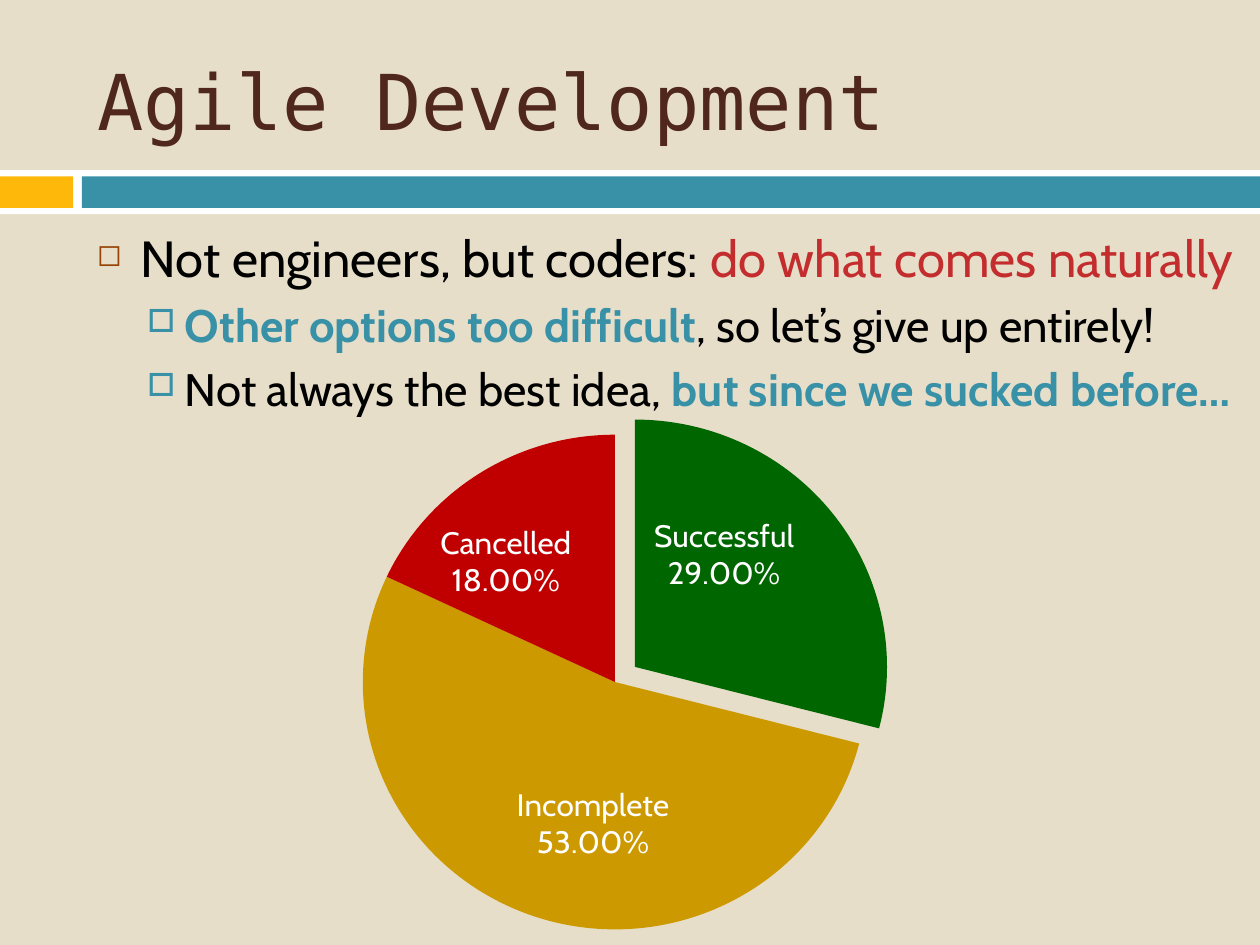
"""Build the Agile Development slide with its project outcome pie."""
import pptx
import pptx.chart.data
import pptx.dml.color
import pptx.enum.chart
import pptx.enum.shapes
import pptx.enum.text
import pptx.oxml
import pptx.oxml.ns
import pptx.util

Inches, Pt = pptx.util.Inches, pptx.util.Pt
qn = pptx.oxml.ns.qn

THEME = {
    "back": "E7DEC9", "white": "FFFFFF", "gold": "FEB80A", "teal": "3891A7",
    "brown": "4F271C", "rust": "964305", "red": "C32D2E", "black": "000000",
    "green": "006600", "ochre": "CC9900", "crimson": "C00000",
    "sans": "Cabin", "mono": "DejaVu Sans Mono",
    "head": 44, "main": 29, "sub": 26, "label": 18,
}
TITLE = "Agile Development"
BANDS = [
    ("white", (0, 1.35, 10, 0.35)),
    ("gold", (0, 1.4, 0.58, 0.25)),
    ("teal", (0.65, 1.4, 9.35, 0.25)),
]
LEVELS = [
    {"size": "main", "space": 7, "left": 0.35, "hang": 0.35,
     "mark": "◻", "tint": "rust", "scale": 60},
    {"size": "sub", "space": 5.5, "left": 0.7, "hang": 0.3,
     "mark": "□", "tint": "teal", "scale": 70},
]
POINTS = [
    (0, [("Not engineers, but coders: ", "black", False),
         ("do what comes naturally", "red", False)]),
    (1, [("Other options too difficult", "teal", True),
         (", so let’s give up entirely!", "black", False)]),
    (1, [("Not always the best idea, ", "black", False),
         ("but since we sucked before…", "teal", True)]),
]
SLICES = [
    ("Successful", 0.29, "green", 10, (-0.01, -0.07)),
    ("Incomplete", 0.53, "ochre", 0, (0.02, 0.05)),
    ("Cancelled", 0.18, "crimson", 0, (-0.04, -0.03)),
]
PLOT = {"x": 0.24, "y": 0.01, "w": 0.49, "h": 0.96}


def tone(name):
    return pptx.dml.color.RGBColor.from_string(THEME[name])


def box(*sides):
    return [Inches(side) for side in sides]


def apply(thing, **values):
    for name, value in values.items():
        setattr(thing, name, value)


def style(font, face, size, color, bold=False):
    apply(font, name=THEME[face], size=Pt(THEME[size]), bold=bold)
    font.color.rgb = tone(color)


def paint(fill, color):
    fill.solid()
    fill.fore_color.rgb = tone(color)


def node(tag, **values):
    item = pptx.oxml.parse_xml(f'<{tag} {pptx.oxml.ns.nsdecls("a", "c")}/>')
    for name, value in values.items():
        item.set(name, str(value))
    return item


def layout(**values):
    root, inner = node("c:layout"), node("c:manualLayout")
    root.append(inner)
    if "w" in values:
        inner.append(node("c:layoutTarget", val="inner"))
        for axis in "xy":
            inner.append(node(f"c:{axis}Mode", val="edge"))
    for name, value in values.items():
        inner.append(node(f"c:{name}", val=value))
    return root


def add_title(slide):
    title = slide.shapes.title
    left, top, width, height = box(0.67, 0.25, 8.92, 1.08)
    apply(title, left=left, top=top, width=width, height=height)
    frame = title.text_frame
    apply(frame, text=TITLE, word_wrap=True,
          auto_size=pptx.enum.text.MSO_AUTO_SIZE.NONE,
          vertical_anchor=pptx.enum.text.MSO_ANCHOR.MIDDLE)
    para = frame.paragraphs[0]
    para.alignment = pptx.enum.text.PP_ALIGN.LEFT
    style(para.runs[0].font, "mono", "head", "brown")


def add_bands(slide):
    for color, place in BANDS:
        band = slide.shapes.add_shape(
            pptx.enum.shapes.MSO_SHAPE.RECTANGLE, *box(*place))
        band.shadow.inherit = False
        paint(band.fill, color)
        band.line.fill.background()


def add_points(slide):
    frame = slide.shapes.add_textbox(*box(0.67, 1.75, 9.33, 5.58)).text_frame
    frame.word_wrap = True
    for index, (level, runs) in enumerate(POINTS):
        para = frame.add_paragraph() if index else frame.paragraphs[0]
        form = LEVELS[level]
        props = para._p.get_or_add_pPr()
        props.set("marL", str(Inches(form["left"])))
        props.set("indent", str(-Inches(form["hang"])))
        tint = node("a:buClr")
        tint.append(node("a:srgbClr", val=THEME[form["tint"]]))
        props.extend([tint, node("a:buSzPct", val=form["scale"] * 1000),
                      node("a:buChar", char=form["mark"])])
        apply(para, level=level, space_before=Pt(form["space"] if index else 0))
        for text, color, bold in runs:
            run = para.add_run()
            run.text = text
            style(run.font, "sans", form["size"], color, bold)


def add_label(point, shift):
    label = point.data_label
    style(label.font, "sans", "label", "white")
    label.position = pptx.enum.chart.XL_LABEL_POSITION.CENTER
    item = label._get_or_add_dLbl()
    item.find(qn("c:idx")).addnext(layout(x=shift[0], y=shift[1]))
    item.find(qn("c:layout")).addnext(
        node("c:numFmt", formatCode="0.00%", sourceLinked=0))
    for name in ("showVal", "showCatName"):
        item.find(qn(f"c:{name}")).set("val", "1")
    gap = node("c:separator")
    gap.text = "\n"
    item.append(gap)


def add_pie(slide):
    data = pptx.chart.data.CategoryChartData(number_format="0.00%")
    data.categories = [row[0] for row in SLICES]
    data.add_series("Series 1", [row[1] for row in SLICES])
    chart = slide.shapes.add_chart(
        pptx.enum.chart.XL_CHART_TYPE.PIE, *box(0.88, 3.33, 8.25, 4.17), data).chart
    apply(chart, has_legend=False, has_title=False)
    style(chart.font, "sans", "label", "black")
    area = chart._chartSpace.chart.plotArea
    for old in area.findall(qn("c:layout")):
        area.remove(old)
    area.insert(0, layout(**PLOT))
    plot = chart.plots[0]
    plot.vary_by_categories = True
    series = plot.series[0]
    for index, (_, _, color, burst, shift) in enumerate(SLICES):
        point = series.points[index]
        paint(point.format.fill, color)
        point.format.line.fill.background()
        if burst:
            part = series._element.findall(qn("c:dPt"))[index]
            part.find(qn("c:spPr")).addprevious(node("c:explosion", val=burst))
        add_label(point, shift)


def main():
    deck = pptx.Presentation()
    apply(deck, slide_width=Inches(10), slide_height=Inches(7.5))
    slide = deck.slides.add_slide(deck.slide_layouts[5])
    paint(slide.background.fill, "back")
    for build in (add_bands, add_title, add_points, add_pie):
        build(slide)
    deck.save("out.pptx")


if __name__ == "__main__":
    main()
